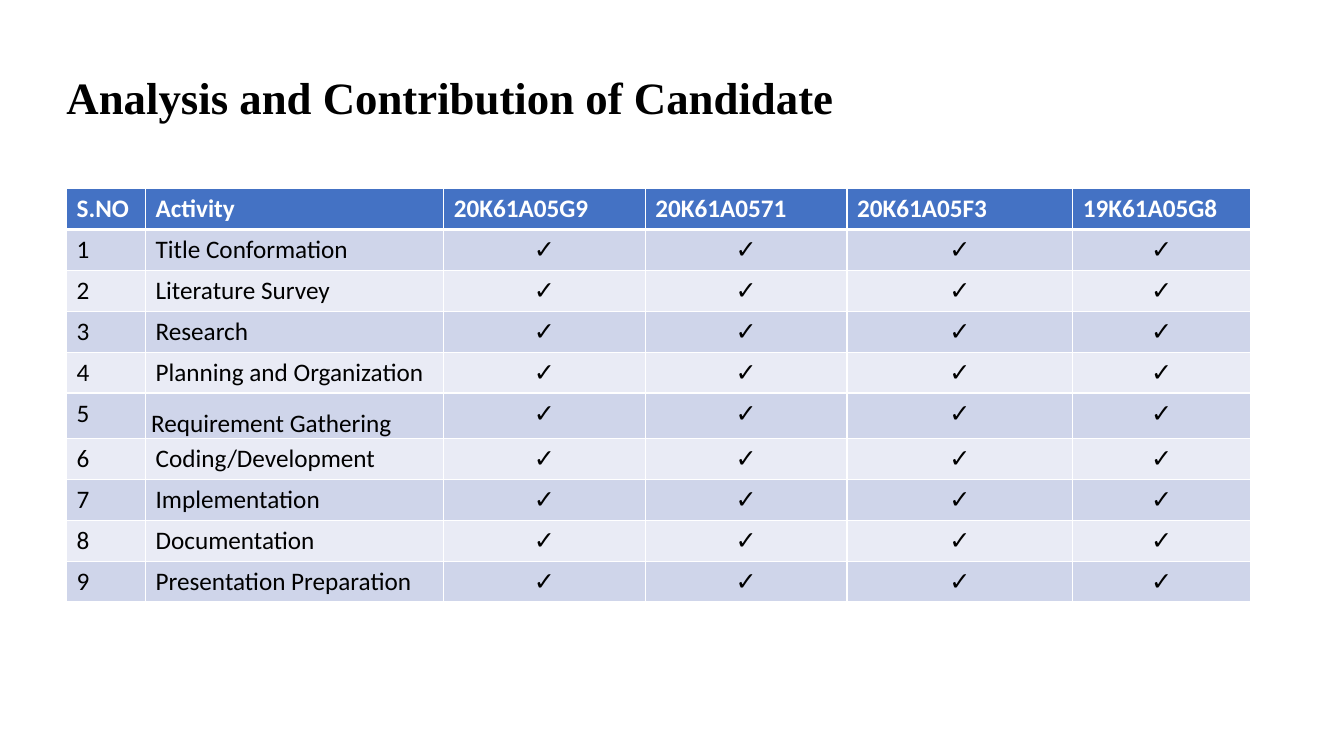
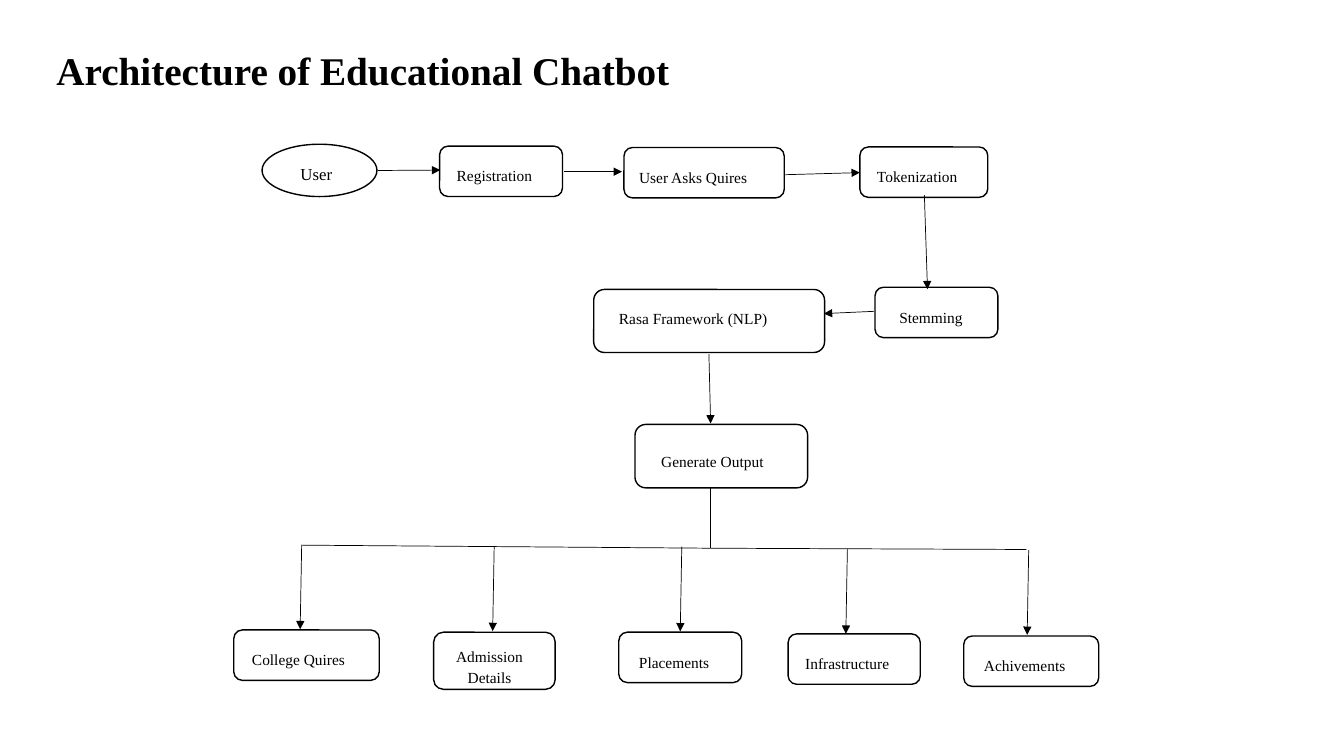
from lxml import etree
from pptx import Presentation
from pptx.dml.color import RGBColor
from pptx.enum.shapes import MSO_CONNECTOR as Link, MSO_SHAPE as Shape
from pptx.enum.text import MSO_ANCHOR as Anchor, PP_ALIGN as Align
from pptx.oxml.ns import qn
from pptx.util import Pt

SERIF, SANS = "Times New Roman", "Calibri"
BLACK, WHITE, BLUE = "000000", "FFFFFF", "4472C4"
BANDS = ["CFD5EA", "E9EBF5"]

HEADERS = ["S.NO", "Activity", "20K61A05G9", "20K61A0571", "20K61A05F3", "19K61A05G8"]
ACTIVITIES = [
    "Title Conformation", "Literature Survey", "Research",
    "Planning and Organization", "Requirement Gathering", "Coding/Development",
    "Implementation", "Documentation", "Presentation Preparation",
]
COLUMNS = [56.4, 213, 144, 144, 161.3, 127]
ROW_HEIGHT = 29.2
LOOSE_ACTIVITY = "Requirement Gathering"

NODES = [
    ("User", 187.2, 103, 82.1, 37.4, 27.4, 13),
    ("Registration", 314, 104.4, 87.8, 36, 12.2, 13.7),
    ("User Asks Quires", 445.7, 105.4, 114.5, 36, 10.8, 13.7),
    ("Tokenization", 614.2, 105, 91.4, 36, 12.2, 13.7),
    ("Stemming", 625, 205.2, 87.8, 36, 17.3, 13.7),
    ("Rasa Framework (NLP)", 424.1, 206.8, 164.9, 45, 18, 13),
    ("Generate Output", 453.6, 303.2, 123.3, 45.3, 18.7, 18.7),
    ("College Quires", 167, 450, 103.9, 36, 13, 13.7),
    ("Admission\nDetails", 309.8, 451.6, 86.8, 40.8, 0, 9.4),
    ("Placements", 442, 451.6, 87.8, 36, 14.4, 13.7),
    ("Infrastructure", 563, 452.8, 94.4, 36, 12.2, 13.7),
    ("Achivements", 688.4, 454.3, 96.4, 36, 14.4, 13.7),
]
ARROWS = [
    (270, 121.8, 314.5, 121.5),
    (403.2, 122.6, 444.3, 122.6),
    (561, 124.8, 614.2, 123.3),
    (660.3, 139.3, 662.5, 206.6),
    (624.3, 222.4, 588.5, 224),
    (506.4, 253, 507.6, 302.5),
]
LINES = [
    (507.6, 348, 507.6, 391.6),
    (507.6, 391.6, 216, 389.4),
    (507.6, 391.6, 733.2, 392.5),
]
DROPS = [(215.5, 389), (353, 390.3), (487, 390.5), (605.3, 392.2), (734.8, 393)]
DROP_LEAN, DROP_HEIGHT = 1.1, 60.5
CORNER, ROUND_TRIM, OVAL_TRIM = 0.17, 0.29, 0.146


def rgb(value):
    return RGBColor.from_string(value)


def style(target, **values):
    for name, value in values.items():
        setattr(target, name, value)


def margins(target, left, top, right, bottom):
    style(target, margin_left=Pt(left), margin_top=Pt(top),
          margin_right=Pt(right), margin_bottom=Pt(bottom))


def write(p, text, size, font=SERIF, color=BLACK, bold=False, **layout):
    style(p, **layout)
    r = p.add_run()
    r.text = text
    style(r.font, name=font, size=Pt(size), bold=bold)
    r.font.color.rgb = rgb(color)


def add_title(s, text, box, size, spacing):
    tf = s.shapes.add_textbox(*map(Pt, box)).text_frame
    style(tf, word_wrap=True, vertical_anchor=Anchor.MIDDLE)
    write(tf.paragraphs[0], text, size, bold=True, line_spacing=spacing)


def set_borders(cell, bottom):
    tc_pr = cell._tc.get_or_add_tcPr()
    for side, width in zip("LRTB", (1, 1, 1, bottom)):
        line = etree.SubElement(tc_pr, qn(f"a:ln{side}"), w=str(Pt(width)))
        fill = etree.SubElement(line, qn("a:solidFill"))
        etree.SubElement(fill, qn("a:srgbClr"), val=WHITE)


def add_activity_table(s, left, top):
    rows = [HEADERS] + [
        [str(number), activity] + ["✓"] * (len(HEADERS) - 2)
        for number, activity in enumerate(ACTIVITIES, 1)
    ]
    table = s.shapes.add_table(len(rows), len(COLUMNS), Pt(left), Pt(top),
                               Pt(sum(COLUMNS)), Pt(ROW_HEIGHT * len(rows))).table
    for column, width in zip(table.columns, COLUMNS):
        column.width = Pt(width)
    for i, row in enumerate(rows):
        table.rows[i].height = Pt(ROW_HEIGHT)
        header = i == 0
        for j, text in enumerate(row):
            cell = table.cell(i, j)
            set_borders(cell, 3 if header else 1)
            cell.fill.solid()
            cell.fill.fore_color.rgb = rgb(BLUE if header else BANDS[(i - 1) % 2])
            layout = {"alignment": Align.CENTER if text == "✓" else Align.LEFT}
            if text == LOOSE_ACTIVITY:
                margins(cell, 4, 0, 0, 0)
                layout = {"alignment": Align.JUSTIFY, "line_spacing": 1.5,
                          "space_before": Pt(5.5)}
            write(cell.text_frame.paragraphs[0], text, 18, SANS,
                  WHITE if header else BLACK, header, **layout)


def add_node(s, label, left, top, width, height, indent, drop):
    oval = label == "User"
    kind = Shape.OVAL if oval else Shape.ROUNDED_RECTANGLE
    sp = s.shapes.add_shape(kind, *map(Pt, (left, top, width, height)))
    sp.shadow.inherit = False
    sp.fill.background()
    sp.line.color.rgb = rgb(BLACK)
    sp.line.width = Pt(1)
    if oval:
        trim_x, trim_y = width * OVAL_TRIM, height * OVAL_TRIM
    else:
        sp.adjustments[0] = CORNER
        trim_x = trim_y = height * CORNER * ROUND_TRIM
    rows = label.split("\n")
    centered = len(rows) > 1
    tf = sp.text_frame
    style(tf, word_wrap=True, vertical_anchor=Anchor.TOP)
    margins(tf, max(indent - trim_x, 0), drop - trim_y, 7 if centered else 0, 0)
    for k, text in enumerate(rows):
        p = tf.add_paragraph() if k else tf.paragraphs[0]
        write(p, text, 12 if oval else 11, line_spacing=1.07,
              space_after=Pt(1.3 if k < len(rows) - 1 else 0),
              alignment=Align.CENTER if centered else Align.LEFT)


def add_line(s, ends, arrow=False):
    line = s.shapes.add_connector(Link.STRAIGHT, *map(Pt, ends))
    line.line.color.rgb = rgb(BLACK)
    line.line.width = Pt(0.5)
    if arrow:
        etree.SubElement(line.line._get_or_add_ln(), qn("a:tailEnd"), type="triangle")
    etree.SubElement(line._element.spPr, qn("a:effectLst"))


def main():
    prs = Presentation()
    style(prs, slide_width=Pt(960), slide_height=Pt(540))
    blank = prs.slide_layouts[6]

    s = prs.slides.add_slide(blank)
    add_title(s, "Analysis and Contribution of Candidate", (40.4, 42.5, 864.7, 58.3), 32, 0.9)
    add_activity_table(s, 47.6, 134.8)

    s = prs.slides.add_slide(blank)
    add_title(s, "Architecture of Educational Chatbot", (33.2, 29.6, 480, 41), 28, 1.0)
    for node in NODES:
        add_node(s, *node)
    for ends in LINES:
        add_line(s, ends)
    drops = [(x, y, x - DROP_LEAN, y + DROP_HEIGHT) for x, y in DROPS]
    for ends in ARROWS + drops:
        add_line(s, ends, arrow=True)

    prs.save("out.pptx")


if __name__ == "__main__":
    main()
